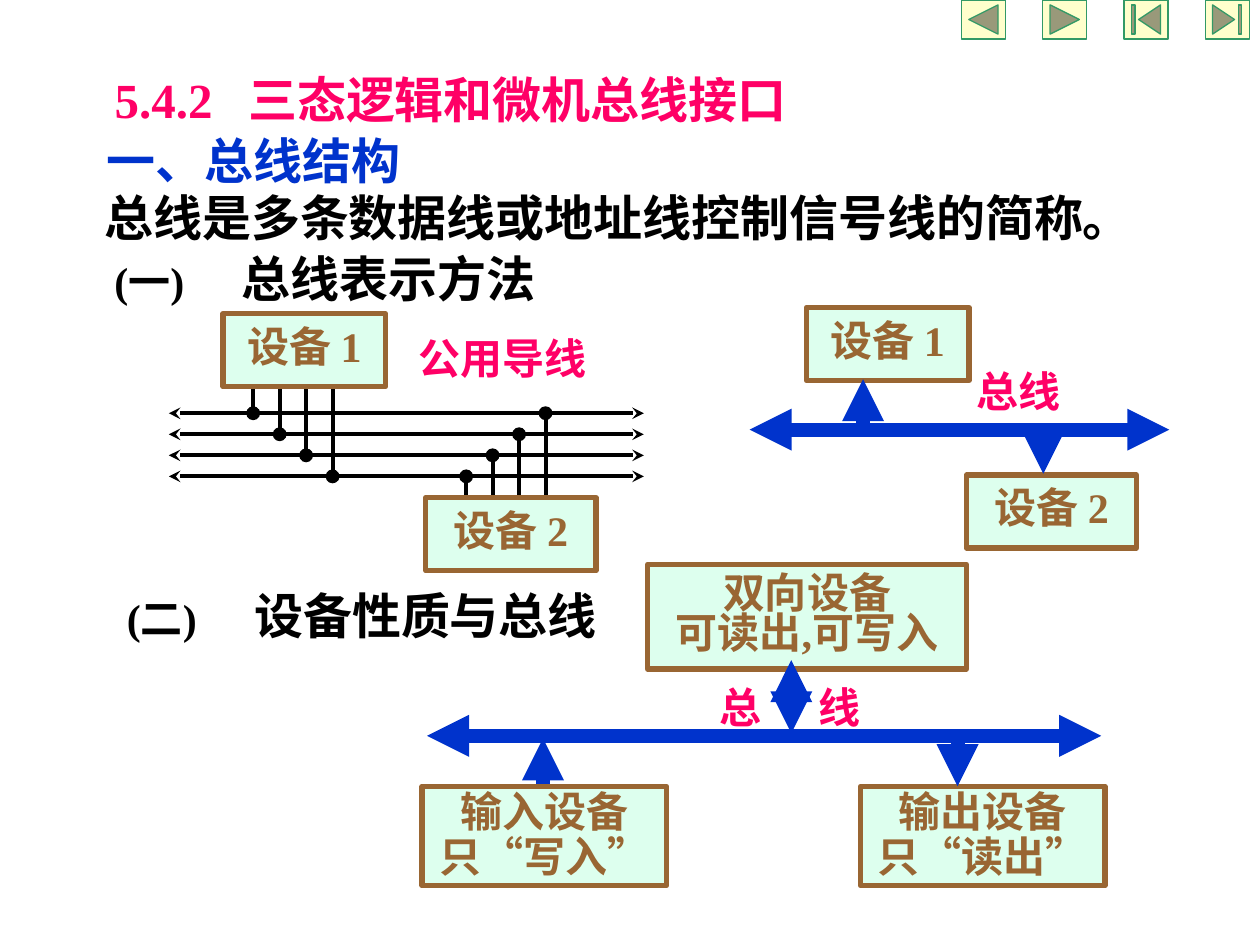
from dataclasses import dataclass

from lxml.etree import SubElement
from pptx import Presentation
from pptx.dml.color import RGBColor
from pptx.enum.shapes import MSO_CONNECTOR, MSO_SHAPE
from pptx.enum.text import MSO_ANCHOR, MSO_AUTO_SIZE, PP_ALIGN
from pptx.oxml.ns import qn
from pptx.util import Inches, Pt


@dataclass(frozen=True)
class Theme:
    font: str = "Times New Roman"
    pink: RGBColor = RGBColor(0xFF, 0x00, 0x66)
    blue: RGBColor = RGBColor(0x00, 0x33, 0xCC)
    black: RGBColor = RGBColor(0x00, 0x00, 0x00)
    brown: RGBColor = RGBColor(0x99, 0x66, 0x33)
    mint: RGBColor = RGBColor(0xDD, 0xFF, 0xEE)
    cream: RGBColor = RGBColor(0xFF, 0xFF, 0xCC)
    green: RGBColor = RGBColor(0x33, 0x99, 0x66)
    heading: Pt = Pt(28)
    label: Pt = Pt(24)
    wire: Pt = Pt(2.25)
    bus: Pt = Pt(8)


T = Theme()
prs = Presentation()
prs.slide_width, prs.slide_height = Inches(10), Inches(7.5)
s = prs.slides.add_slide(prs.slide_layouts[5])


def write(p, text, size, color, tab=None):
    """Fill a paragraph; tab is the stop, in inches, for a tab in the text."""
    p.text = text
    if tab:
        stops = SubElement(p._p.get_or_add_pPr(), qn("a:tabLst"))
        SubElement(stops, qn("a:tab"), pos=str(Inches(tab)), algn="l")
    p.font.name, p.font.size, p.font.bold = T.font, size, True
    p.font.color.rgb = color


def connect(x1, y1, x2, y2, color, width, head=None, tail=None):
    c = s.shapes.add_connector(
        MSO_CONNECTOR.STRAIGHT, Inches(x1), Inches(y1), Inches(x2), Inches(y2))
    c.line.color.rgb, c.line.width = color, width
    ln = c.line._get_or_add_ln()
    for tag, kind in (("a:headEnd", head), ("a:tailEnd", tail)):
        if kind:
            SubElement(ln, qn(tag), type=kind)
    SubElement(c._element.spPr, qn("a:effectLst"))


# Title
title = s.shapes.title
title.left, title.top = Inches(0.81), Inches(0.5)
title.width, title.height = Inches(6.75), Inches(0.57)
tf = title.text_frame
tf.auto_size, tf.vertical_anchor = MSO_AUTO_SIZE.NONE, MSO_ANCHOR.TOP
tf.paragraphs[0].alignment = PP_ALIGN.LEFT
write(tf.paragraphs[0], "5.4.2\t三态逻辑和微机总线接口", T.heading, T.pink, 1.06)

# Headings and labels: left, top, width, height, text, size, colour, tab stop
texts = [
    (0.75, 0.99, 6.12, 0.57, "一、总线结构", T.heading, T.blue, None),
    (0.73, 1.44, 8.78, 0.57, "总线是多条数据线或地址线控制信号线的简称。",
     T.heading, T.black, None),
    (0.81, 1.92, 4.5, 0.57, "(一)\t总线表示方法", T.heading, T.black, 1.01),
    (0.91, 4.6, 4.5, 0.57, "(二)\t设备性质与总线", T.heading, T.black, 1.01),
    (3.22, 2.59, 1.99, 0.5, "公用导线", T.label, T.pink, None),
    (7.65, 2.85, 1.55, 0.5, "总线", T.label, T.pink, None),
    (5.61, 5.36, 2.28, 0.5, "总\t线", T.label, T.pink, 0.79),
]
for x, y, w, h, text, size, color, tab in texts:
    tf = s.shapes.add_textbox(Inches(x), Inches(y), Inches(w), Inches(h)).text_frame
    tf.word_wrap = True
    p = tf.paragraphs[0]
    write(p, text, size, color, tab)
    if text.startswith("("):
        number, tabbed = text.split("\t")
        p.text = number
        p.runs[0].font.size = T.label
        p.add_run().text = "\t" + tabbed

# Shared wires, with one tap per wire from each device
first_wire, wire_gap, tap_gap = 3.28, 0.167, 0.21
wires = [first_wire + i * wire_gap for i in range(4)]
for y in wires:
    connect(1.34, y, 5.11, y, T.black, T.wire, "stealth", "stealth")
for first_tap, device_y, tapped in ((2.01, 3.07, wires), (3.7, 3.98, wires[::-1])):
    for i, y in enumerate(tapped):
        x = first_tap + i * tap_gap
        connect(x, device_y, x, y, T.black, T.wire)
        dot = s.shapes.add_shape(
            MSO_SHAPE.OVAL, Inches(x - 0.05), Inches(y - 0.05), Inches(0.1), Inches(0.1))
        dot.shadow.inherit = False
        dot.fill.solid()
        dot.fill.fore_color.rgb = dot.line.color.rgb = T.black
        dot.line.width = Pt(0.75)

# Device boxes: left, top, width, height, line spacing, lines
devices = [
    (1.77, 2.49, 1.29, 0.58, 0.8, ["设备 1"]),
    (3.38, 3.95, 1.35, 0.58, 0.8, ["设备 2"]),
    (6.4, 2.44, 1.29, 0.58, 0.8, ["设备 1"]),
    (7.67, 3.77, 1.35, 0.58, 0.8, ["设备 2"]),
    (5.14, 4.48, 2.53, 0.83, 0.8, ["双向设备", "可读出,可写入"]),
    (3.35, 6.24, 1.94, 0.79, 0.9, ["输入设备", "只“写入”"]),
    (6.83, 6.24, 1.94, 0.79, 0.9, ["输出设备", "只“读出”"]),
]
for x, y, w, h, spacing, lines in devices:
    sp = s.shapes.add_shape(
        MSO_SHAPE.RECTANGLE, Inches(x), Inches(y), Inches(w), Inches(h))
    sp.shadow.inherit = False
    sp.fill.solid()
    sp.fill.fore_color.rgb = T.mint
    sp.line.color.rgb, sp.line.width = T.brown, Pt(3)
    tf = sp.text_frame
    tf.word_wrap, tf.vertical_anchor = False, MSO_ANCHOR.MIDDLE
    for i, line in enumerate(lines):
        p = tf.add_paragraph() if i else tf.paragraphs[0]
        p.alignment, p.line_spacing = PP_ALIGN.CENTER, spacing
        write(p, line, T.label, T.brown)

# Bus arrows: from x, y to x, y, head at the start
for x1, y1, x2, y2, head in (
    (5.95, 3.41, 9.28, 3.41, "triangle"),
    (6.85, 3.37, 6.85, 3.01, None),
    (8.28, 3.41, 8.28, 3.76, None),
    (3.39, 5.84, 8.74, 5.84, "triangle"),
    (6.28, 5.82, 6.28, 5.24, "triangle"),
    (7.6, 5.89, 7.6, 6.24, None),
    (4.31, 6.22, 4.31, 5.86, None),
):
    connect(x1, y1, x2, y2, T.blue, T.bus, head, "triangle")

# Navigation buttons
buttons = [
    MSO_SHAPE.ACTION_BUTTON_BACK_OR_PREVIOUS,
    MSO_SHAPE.ACTION_BUTTON_FORWARD_OR_NEXT,
    MSO_SHAPE.ACTION_BUTTON_BEGINNING,
    MSO_SHAPE.ACTION_BUTTON_END,
]
for i, kind in enumerate(buttons):
    sp = s.shapes.add_shape(
        kind, Inches(7.63 + i * 0.645), 0, Inches(0.35), Inches(0.31))
    sp.shadow.inherit = False
    sp.fill.solid()
    sp.fill.fore_color.rgb = T.cream
    sp.line.color.rgb, sp.line.width = T.green, Pt(0.75)

prs.save("out.pptx")
